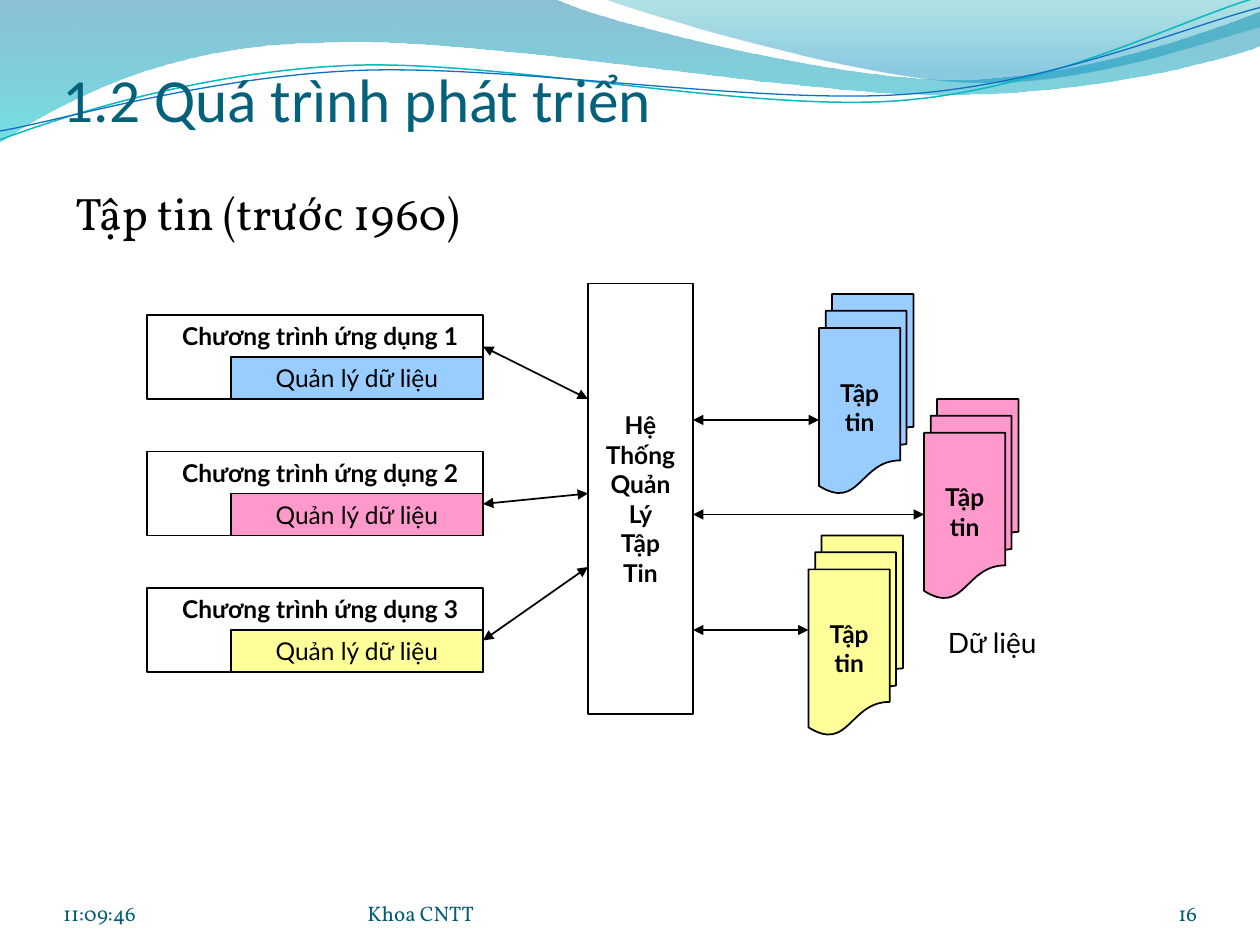
"""Build the slide on file-based data storage before 1960."""
import dataclasses
import typing

import lxml.etree
import pptx
import pptx.dml.color
import pptx.enum.shapes
import pptx.enum.text
import pptx.oxml.ns
import pptx.util

Kind = pptx.enum.shapes.MSO_SHAPE
Align = pptx.enum.text.PP_ALIGN
Anchor = pptx.enum.text.MSO_ANCHOR
qn = pptx.oxml.ns.qn


@dataclasses.dataclass(frozen=True)
class Theme:
    ink: str = "000000"
    title: str = "04617B"
    foot: str = "045D75"
    dot: str = "0BD0D9"
    blue: str = "99CCFF"
    pink: str = "FF99CC"
    gold: str = "FFFF99"
    head_face: str = "Calibri"
    text_face: str = "Vollkorn"
    chart_face: str = "Lato"
    head_size: int = 35
    text_size: int = 26
    note_size: int = 16
    chart_size: int = 14
    foot_size: int = 12


class Box(typing.NamedTuple):
    left: float
    top: float
    width: float
    height: float


class Style(typing.NamedTuple):
    face: str
    size: int
    color: str
    bold: bool = False


class App(typing.NamedTuple):
    top: int
    color: str


class File(typing.NamedTuple):
    left: int
    top: int
    color: str


class Link(typing.NamedTuple):
    start: tuple
    end: tuple


class Stop(typing.NamedTuple):
    place: float
    color: str
    alpha: int


class Wave(typing.NamedTuple):
    start: tuple
    bends: list
    stops: tuple = ()
    color: str = ""
    weight: float = 0


THEME = Theme()
PLAIN = Style(THEME.chart_face, THEME.chart_size, THEME.ink)
STRONG = PLAIN._replace(bold=True)
FOOT = Style(THEME.text_face, THEME.foot_size, THEME.foot)
APPS = [App(30, THEME.blue), App(43, THEME.pink), App(56, THEME.gold)]
FILES = [File(88, 38, THEME.pink), File(78, 28, THEME.blue), File(77, 51, THEME.gold)]
LINKS = [
    Link((46, 33), (56, 38)), Link((46, 61), (56, 54)), Link((46, 48), (56, 47)),
    Link((66, 40), (78, 40)), Link((66, 60), (77, 60)), Link((66, 49), (88, 49)),
]
WAVES = [
    Wave((0, -0.01), [
        (4.4, -0.01), (4.76, 0.17, 6.64, 0.63, 7.58, 0.63), (8.53, 0.63, 9.58, 0.26, 10, 0.09),
        (10.01, 0.36), (9.83, 0.44, 8.7, 0.76, 7.46, 0.75), (6.22, 0.75, 3.82, 0.28, 2.57, 0.34),
        (1.29, 0.35, 0.46, 0.83, -0.01, 1.13),
    ], (Stop(0, "0074A1", 45), Stop(1, "00C6CF", 55))),
    Wave((4.79, -0.01), [
        (5.09, 0.11, 6.82, 0.62, 7.69, 0.65), (8.56, 0.69, 9.61, 0.32, 10, 0.21), (10, 0),
    ], (Stop(0, "00A1A9", 30), Stop(0.8, "008BBF", 45))),
    Wave((0, 1.11), [
        (0.48, 0.93, 1.58, 0.57, 2.77, 0.52), (3.95, 0.47, 5.93, 0.89, 7.13, 0.8),
        (8.33, 0.71, 9.38, 0.15, 9.98, -0.02),
    ], color="0AB8BF", weight=0.85),
    Wave((0, 1.04), [
        (0.47, 0.96, 1.64, 0.61, 2.83, 0.56), (4.03, 0.51, 5.97, 0.83, 7.17, 0.75),
        (8.36, 0.67, 9.41, 0.21, 10, 0.06),
    ], color="0F6FC6", weight=0.75),
]


def cell(count: float) -> int:
    return pptx.util.Cm(2.54 * count / 12)


def paint(code: str) -> pptx.dml.color.RGBColor:
    return pptx.dml.color.RGBColor.from_string(code)


def stroke(line, color: str = THEME.ink, weight: float = 1) -> None:
    line.color.rgb = paint(color)
    line.width = pptx.util.Pt(weight)


def write(frame, text: str, style: Style, align=Align.LEFT) -> None:
    frame.text = text
    for para in frame.paragraphs:
        para.alignment = align
        para.font.name = style.face
        para.font.size = pptx.util.Pt(style.size)
        para.font.bold = style.bold
        para.font.color.rgb = paint(style.color)


def label(slide, box: Box, text: str, style: Style, align=Align.LEFT, anchor=Anchor.TOP):
    frame = slide.shapes.add_textbox(*map(cell, box)).text_frame
    frame.word_wrap = True
    frame.vertical_anchor = anchor
    write(frame, text, style, align)
    return frame


def block(slide, kind, box: Box, color: str = "", text: str = "", style: Style = PLAIN) -> None:
    shape = slide.shapes.add_shape(kind, *map(cell, box))
    shape.shadow.inherit = False
    if color:
        shape.fill.solid()
        shape.fill.fore_color.rgb = paint(color)
    else:
        shape.fill.background()
    stroke(shape.line)
    if text:
        shape.text_frame.word_wrap = False
        shape.text_frame.vertical_anchor = Anchor.MIDDLE
        write(shape.text_frame, text, style, Align.CENTER)


def join(slide, link: Link) -> None:
    line = slide.shapes.add_connector(
        pptx.enum.shapes.MSO_CONNECTOR.STRAIGHT, *map(cell, link.start + link.end))
    stroke(line.line)
    props = line._element.spPr
    for end in ("a:headEnd", "a:tailEnd"):
        lxml.etree.SubElement(props.find(qn("a:ln")), qn(end), type="triangle")
    lxml.etree.SubElement(props, qn("a:effectLst"))


def sweep(slide, wave: Wave) -> None:
    start = [cell(12 * value) for value in wave.start]
    build = slide.shapes.build_freeform(*start)
    for bend in wave.bends:
        marks = [cell(12 * value) for value in bend]
        build.add_line_segments(list(zip(marks[::2], marks[1::2])), close=False)
    if wave.stops:
        build.add_line_segments([], close=True)
    shape = build.convert_to_shape()
    shape.shadow.inherit = False
    props = shape._element.spPr
    steps = iter(list(props.iter(qn("a:lnTo"))))
    for bend in wave.bends:
        group = [next(steps) for _ in range(len(bend) // 2)]
        if len(group) == 3:
            curve = lxml.etree.Element(qn("a:cubicBezTo"))
            group[0].addprevious(curve)
            for step in group:
                curve.append(step[0])
                step.getparent().remove(step)
    if not wave.stops:
        shape.fill.background()
        stroke(shape.line, wave.color, wave.weight)
        return
    shape.line.fill.background()
    shape.fill.gradient()
    shape.fill.gradient_angle = 270
    for mark, stop in zip(shape.fill.gradient_stops, wave.stops):
        mark.position = stop.place
        mark.color.rgb = paint(stop.color)
    for color, stop in zip(props.iter(qn("a:srgbClr")), wave.stops):
        lxml.etree.SubElement(color, qn("a:alpha"), val=str(stop.alpha * 1000))


def bullet(para) -> None:
    props = para._p.get_or_add_pPr()
    props.set("marL", str(cell(3.6)))
    props.set("indent", str(cell(-3.6)))
    tint = lxml.etree.SubElement(props, qn("a:buClr"))
    lxml.etree.SubElement(tint, qn("a:srgbClr"), val=THEME.dot)
    lxml.etree.SubElement(props, qn("a:buSzPct"), val="95000")
    lxml.etree.SubElement(props, qn("a:buChar"), char="●")


def footer(slide, left: float, width: float, text: str, align=Align.LEFT) -> None:
    frame = label(slide, Box(left, 83.4, width, 4.8), text, FOOT, align, Anchor.BOTTOM)
    frame.margin_left = frame.margin_right = frame.margin_top = frame.margin_bottom = 0


def main() -> None:
    deck = pptx.Presentation()
    deck.slide_width, deck.slide_height = cell(120), cell(90)
    slide = deck.slides.add_slide(deck.slide_layouts[6])
    for wave in WAVES:
        sweep(slide, wave)
    head = label(slide, Box(6, 4.7, 108, 8.1), "1.2 Quá trình phát triển",
                 Style(THEME.head_face, THEME.head_size, THEME.title), anchor=Anchor.BOTTOM)
    head.margin_left = head.margin_right = head.margin_bottom = 0
    body = label(slide, Box(6, 17, 108, 63.5), "Tập tin (trước 1960)",
                 Style(THEME.text_face, THEME.text_size, THEME.ink))
    pptx_para = body.paragraphs[0]
    for old in pptx_para._p.pPr.findall(qn("a:defRPr")):
        pptx_para._p.pPr.remove(old)
    bullet(pptx_para)
    write(body, "Tập tin (trước 1960)", Style(THEME.text_face, THEME.text_size, THEME.ink))
    block(slide, Kind.RECTANGLE, Box(56, 27, 10, 41), "",
          "Hệ\nThống\nQuản\nLý\nTập\nTin", STRONG)
    for rank, app in enumerate(APPS, 1):
        block(slide, Kind.RECTANGLE, Box(14, app.top, 32, 8))
        label(slide, Box(14, app.top, 33, 4), f"Chương trình ứng dụng {rank}", STRONG, Align.CENTER)
        block(slide, Kind.RECTANGLE, Box(22, app.top + 4, 24, 4), app.color, "Quản lý dữ liệu")
    for file in FILES:
        block(slide, Kind.FLOWCHART_MULTIDOCUMENT, Box(file.left, file.top, 9, 19),
              file.color, "Tập\ntin", STRONG)
    for link in LINKS:
        join(slide, link)
    label(slide, Box(88, 59, 13, 4.4), "Dữ liệu", PLAIN._replace(size=THEME.note_size), Align.CENTER)
    footer(slide, 6, 28, "11:09:46")
    footer(slide, 35, 44, "Khoa CNTT")
    footer(slide, 104, 10, "16", Align.RIGHT)
    deck.save("out.pptx")


if __name__ == "__main__":
    main()
